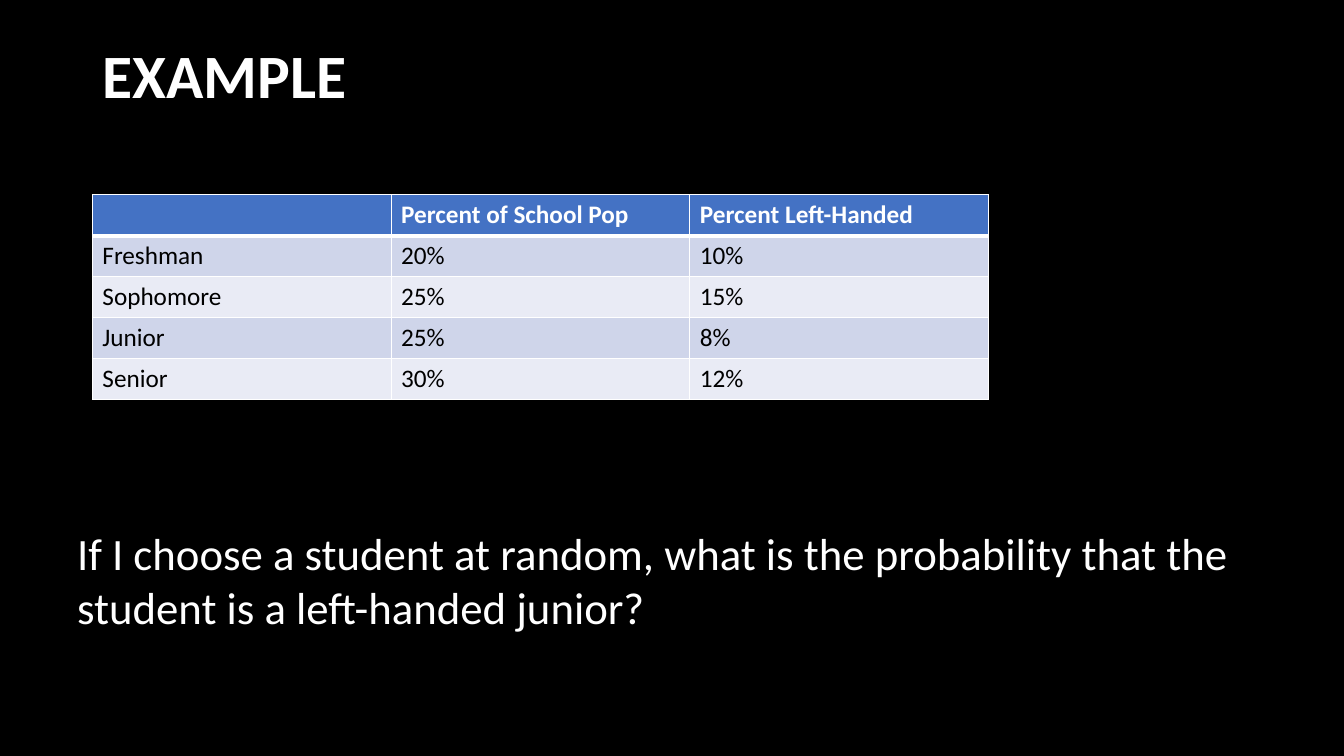
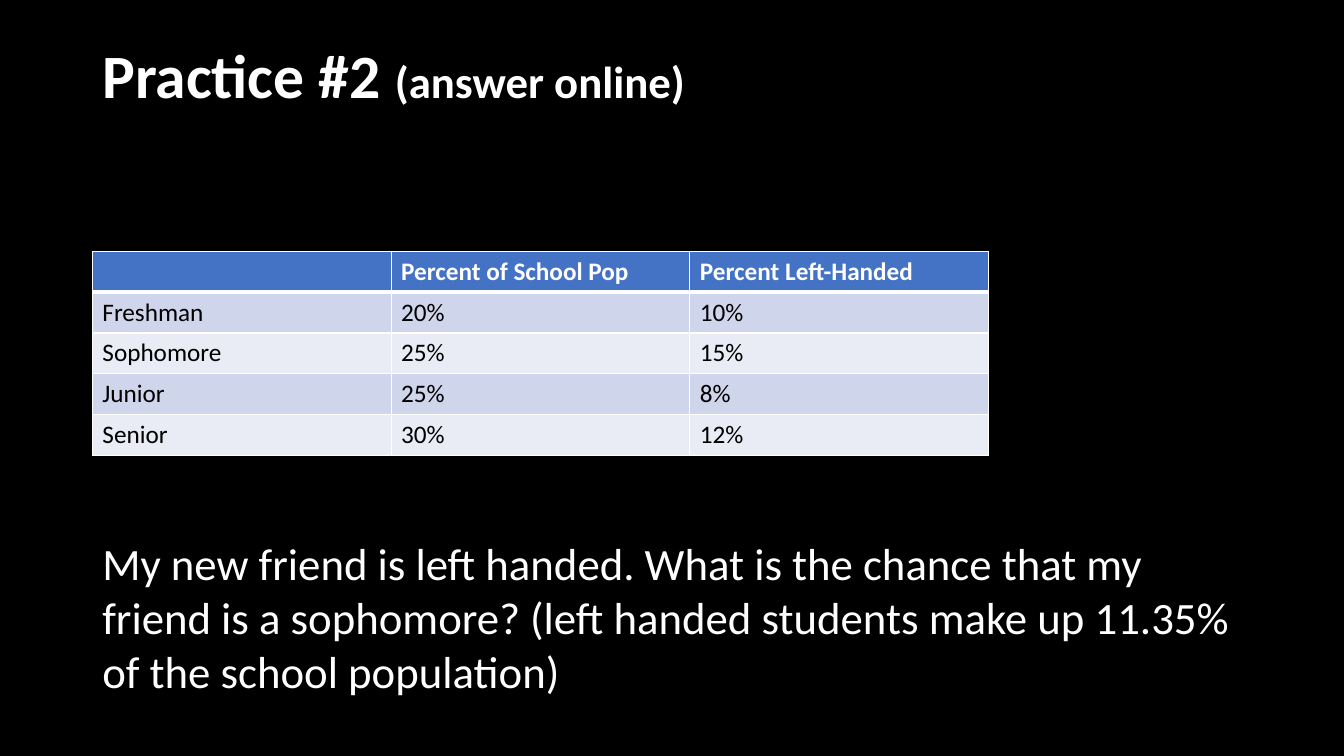
from dataclasses import dataclass

from lxml.etree import SubElement
from pptx import Presentation
from pptx.dml.color import RGBColor as Rgb
from pptx.enum.text import MSO_ANCHOR as Anchor, MSO_AUTO_SIZE as AutoSize, PP_ALIGN as Align
from pptx.oxml.ns import qn
from pptx.util import Inches, Pt

GRID_COLUMNS, GRID_ROWS = 160, 90
TITLE_ONLY = 5
LEFT_MARGIN = 11
CONTENT_WIDTH = 138

HANDEDNESS = [
    ("", "Percent of School Pop", "Percent Left-Handed"),
    ("Freshman", "20%", "10%"),
    ("Sophomore", "25%", "15%"),
    ("Junior", "25%", "8%"),
    ("Senior", "30%", "12%"),
]


@dataclass(frozen=True)
class Theme:
    font: str = "Calibri"
    background: str = "000000"
    light: str = "FFFFFF"
    dark: str = "000000"
    header: str = "4472C4"
    bands: tuple = ("CFD5EA", "E9EBF5")
    title_size: int = 44
    question_size: int = 32
    table_size: int = 18
    rule: int = 1
    header_rule: int = 3


class Deck:
    def __init__(self, theme):
        self.theme = theme
        self.slide = None
        self.prs = Presentation()
        self.prs.slide_width = Inches(40 / 3)
        self.prs.slide_height = Inches(7.5)
        backdrop = self.prs.slide_master.background.fill
        backdrop.solid()
        backdrop.fore_color.rgb = Rgb.from_string(theme.background)

    def add_slide(self):
        self.slide = self.prs.slides.add_slide(self.prs.slide_layouts[TITLE_ONLY])

    def place(self, left, top, width, height):
        """Turn grid columns and rows into slide lengths."""
        column = self.prs.slide_width / GRID_COLUMNS
        row = self.prs.slide_height / GRID_ROWS
        return [round(n * unit) for n, unit in
                zip((left, top, width, height), (column, row, column, row))]

    def style(self, run, size, color, bold=False):
        run.font.name = self.theme.font
        run.font.size = Pt(size)
        run.font.bold = bold
        run.font.color.rgb = Rgb.from_string(color)

    def title(self, heading, aside=""):
        """Write the heading, with an optional smaller aside on the same line."""
        title = self.slide.shapes.title
        title.left, title.top, title.width, title.height = self.place(
            LEFT_MARGIN, 4.8, CONTENT_WIDTH, 17.4)
        frame = title.text_frame
        frame.auto_size = AutoSize.NONE
        frame.vertical_anchor = Anchor.TOP
        frame.text = heading
        line = frame.paragraphs[0]
        line.alignment = Align.LEFT
        line.line_spacing = 0.9
        self.style(line.runs[0], self.theme.title_size, self.theme.light, bold=True)
        if aside:
            small = line.add_run()
            small.text = aside
            self.style(small, self.theme.question_size, self.theme.light, bold=True)

    def question(self, wording, left, top, width, height):
        box = self.slide.shapes.add_textbox(*self.place(left, top, width, height))
        frame = box.text_frame
        frame.word_wrap = True
        frame.text = wording
        self.style(frame.paragraphs[0].runs[0], self.theme.question_size, self.theme.light)

    def borders(self, cell, top, bottom):
        """Rule all four sides; top and bottom are widths in points."""
        sides = {"lnL": self.theme.rule, "lnR": self.theme.rule, "lnT": top, "lnB": bottom}
        properties = cell._tc.get_or_add_tcPr()
        for side, width in sides.items():
            edge = SubElement(properties, qn(f"a:{side}"), w=str(Pt(width)))
            SubElement(SubElement(edge, qn("a:solidFill")), qn("a:srgbClr"),
                       val=self.theme.light)

    def table(self, records, top, width=106.7, row_height=4.87):
        theme = self.theme
        area = self.place(LEFT_MARGIN, top, width, row_height * len(records))
        grid = self.slide.shapes.add_table(len(records), len(records[0]), *area).table
        for r, record in enumerate(records):
            is_header = r == 0
            fill = theme.header if is_header else theme.bands[(r - 1) % 2]
            ink = theme.light if is_header else theme.dark
            above = theme.header_rule if r == 1 else theme.rule
            below = theme.header_rule if is_header else theme.rule
            for c, entry in enumerate(record):
                cell = grid.cell(r, c)
                self.borders(cell, above, below)
                cell.fill.solid()
                cell.fill.fore_color.rgb = Rgb.from_string(fill)
                cell.text_frame.text = entry
                for run in cell.text_frame.paragraphs[0].runs:
                    self.style(run, theme.table_size, ink, bold=is_header)


def main():
    deck = Deck(Theme())

    deck.add_slide()
    deck.title("EXAMPLE")
    deck.table(HANDEDNESS, top=23.2)
    deck.question("If I choose a student at random, what is the probability that the "
                  "student is a left-handed junior?", 8, 62, 144, 14.2)

    deck.add_slide()
    deck.title("Practice #2 ", "(answer online)")
    deck.table(HANDEDNESS, top=29.9)
    deck.question("My new friend is left handed. What is the chance that my friend is a "
                  "sophomore? (left handed students make up 11.35% of the school "
                  "population)", LEFT_MARGIN, 63.2, CONTENT_WIDTH, 20.6)

    deck.prs.save("out.pptx")


if __name__ == "__main__":
    main()
